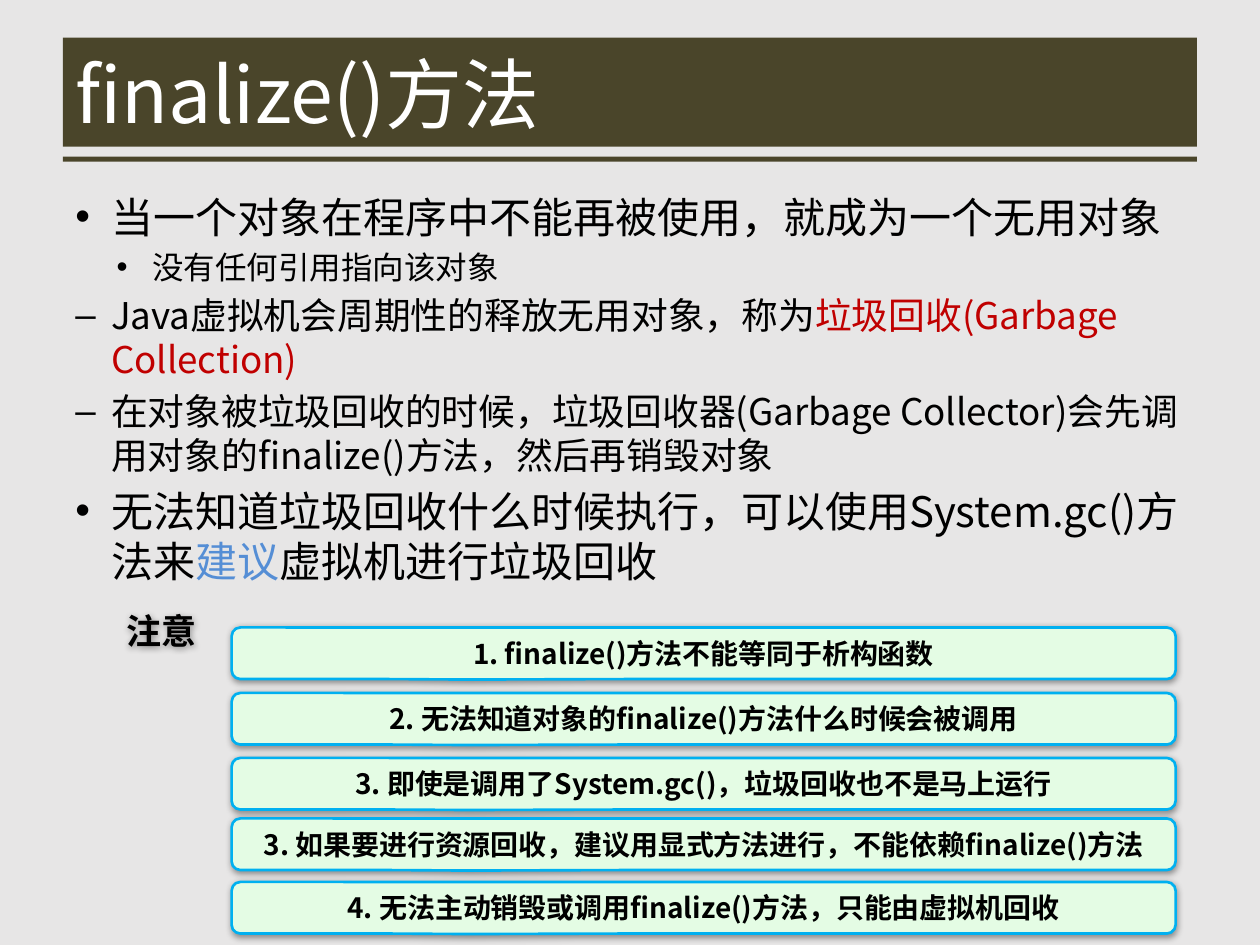
from lxml import etree
from pptx import Presentation
from pptx.dml.color import RGBColor
from pptx.enum.shapes import MSO_SHAPE
from pptx.enum.text import MSO_ANCHOR, MSO_AUTO_SIZE, PP_ALIGN
from pptx.oxml.ns import qn
from pptx.util import Cm, Pt

RECT, CALLOUT = MSO_SHAPE.RECTANGLE, MSO_SHAPE.ROUNDED_RECTANGULAR_CALLOUT
MIDDLE, NO_FIT = MSO_ANCHOR.MIDDLE, MSO_AUTO_SIZE.NONE
LEFT, CENTER = PP_ALIGN.LEFT, PP_ALIGN.CENTER

FONT = "Noto Sans CJK SC"
BACKGROUND = RGBColor(0xE7, 0xE6, 0xE6)
OLIVE = RGBColor(0x4A, 0x45, 0x2A)
WHITE = RGBColor(0xFF, 0xFF, 0xFF)
BLACK = RGBColor(0, 0, 0)
RED = RGBColor(0xC0, 0, 0)
BLUE = RGBColor(0x55, 0x8E, 0xD5)
MINT = RGBColor(0xE4, 0xFC, 0xE4)
CYAN = RGBColor(0, 0xB0, 0xF0)

BULLETS = [
    (0, "•", 24, [("当一个对象在程序中不能再被使用，就成为一个无用对象", BLACK)]),
    (1, "•", 18, [("没有任何引用指向该对象", BLACK)]),
    (0, "–", 21, [("Java虚拟机会周期性的释放无用对象，称为", BLACK),
                  ("垃圾回收(Garbage Collection)", RED)]),
    (0, "–", 21, [("在对象被垃圾回收的时候，垃圾回收器(Garbage Collector)会先"
                   "调用对象的finalize()方法，然后再销毁对象", BLACK)]),
    (0, "•", 24, [("无法知道垃圾回收什么时候执行，可以使用System.gc()方法来", BLACK),
                  ("建议", BLUE), ("虚拟机进行垃圾回收", BLACK)]),
]
NOTES = [
    (0.5, "1. finalize()方法不能等同于析构函数"),
    (1.82, "2. 无法知道对象的finalize()方法什么时候会被调用"),
    (3.13, "3. 即使是调用了System.gc()，垃圾回收也不是马上运行"),
    (4.35, "3. 如果要进行资源回收，建议用显式方法进行，不能依赖finalize()方法"),
    (5.63, "4. 无法主动销毁或调用finalize()方法，只能由虚拟机回收"),
]


def add_run(p, text, size, color, bold=False):
    r = p.add_run()
    r.text = text
    for name, value in {"name": FONT, "size": Pt(size), "bold": bold}.items():
        setattr(r.font, name, value)
    r.font.color.rgb = color
    etree.SubElement(r.font._element, qn("a:ea"), typeface=FONT)


def format_frame(tf, **values):
    for name, value in values.items():
        setattr(tf, name, value)


def add_shadow(s):
    s.shadow.inherit = False
    effects = s._element.spPr.find(qn("a:effectLst"))
    shadow = etree.SubElement(effects, qn("a:outerShdw"), blurRad=str(Pt(4)),
                              dist=str(Pt(1)), dir="5400000", rotWithShape="0")
    color = etree.SubElement(shadow, qn("a:srgbClr"), val=str(BLACK))
    etree.SubElement(color, qn("a:alpha"), val="40000")


def add_bullet(p, char, left, hanging):
    pPr = p._p.get_or_add_pPr()
    pPr.set("marL", str(left))
    pPr.set("indent", str(-hanging))
    etree.SubElement(pPr, qn("a:buFont"), typeface="Arial")
    etree.SubElement(pPr, qn("a:buChar"), char=char)


def add_header(slide, left, top, width, height):
    title = slide.shapes.title
    for y, h in ((top, height), (top + Cm(2.4), Cm(0.1))):
        s = slide.shapes.add_shape(RECT, left, y, width, h)
        s.fill.solid()
        s.fill.fore_color.rgb = OLIVE
        s.line.fill.background()
        s.shadow.inherit = False
        title._element.addprevious(s._element)
    title.left, title.top, title.width, title.height = left, top, width, height
    tf = title.text_frame
    format_frame(tf, vertical_anchor=MIDDLE, word_wrap=True, auto_size=NO_FIT)
    p = tf.paragraphs[0]
    p.alignment = LEFT
    add_run(p, "finalize()方法", 44, WHITE)


def add_body(slide, left, top, width, height):
    tf = slide.shapes.add_textbox(left, top, width, height).text_frame
    format_frame(tf, word_wrap=True, auto_size=NO_FIT)
    for i, (level, char, size, runs) in enumerate(BULLETS):
        p = tf.add_paragraph() if i else tf.paragraphs[0]
        p.level = level
        add_bullet(p, char, Cm(0.72 + 0.83 * level), Cm(0.72))
        if i:
            p.space_before = Pt(0.2 * size)
        for text, color in runs:
            add_run(p, text, size, color)


def add_notes(slide, left, top, width):
    s = slide.shapes.add_textbox(left, top, Cm(1.96), Cm(1.12))
    add_shadow(s)
    format_frame(s.text_frame, word_wrap=False, vertical_anchor=MIDDLE)
    add_run(s.text_frame.paragraphs[0], "注意", 20, BLACK, True)
    indent = Cm(2.36)
    for offset, text in NOTES:
        s = slide.shapes.add_shape(CALLOUT, left + indent, top + Cm(offset),
                                   width - indent, Cm(1.04))
        for i, value in enumerate((-0.25, 0.51, 0.17)):
            s.adjustments[i] = value
        s.fill.solid()
        s.fill.fore_color.rgb = MINT
        s.line.color.rgb = CYAN
        s.line.width = Pt(1.5)
        add_shadow(s)
        format_frame(s.text_frame, word_wrap=True, vertical_anchor=MIDDLE)
        p = s.text_frame.paragraphs[0]
        p.alignment = CENTER
        add_run(p, text, 16, BLACK, True)


def main():
    prs = Presentation()
    prs.slide_width, prs.slide_height = Cm(25.4), Cm(19.05)
    slide = prs.slides.add_slide(prs.slide_layouts[5])
    slide.background.fill.solid()
    slide.background.fill.fore_color.rgb = BACKGROUND
    add_header(slide, Cm(1.27), Cm(0.76), Cm(22.86), Cm(2.2))
    add_body(slide, Cm(1.27), Cm(3.73), Cm(22.86), Cm(13.28))
    add_notes(slide, Cm(2.31), Cm(12.15), Cm(21.39))
    prs.save("out.pptx")


if __name__ == "__main__":
    main()
